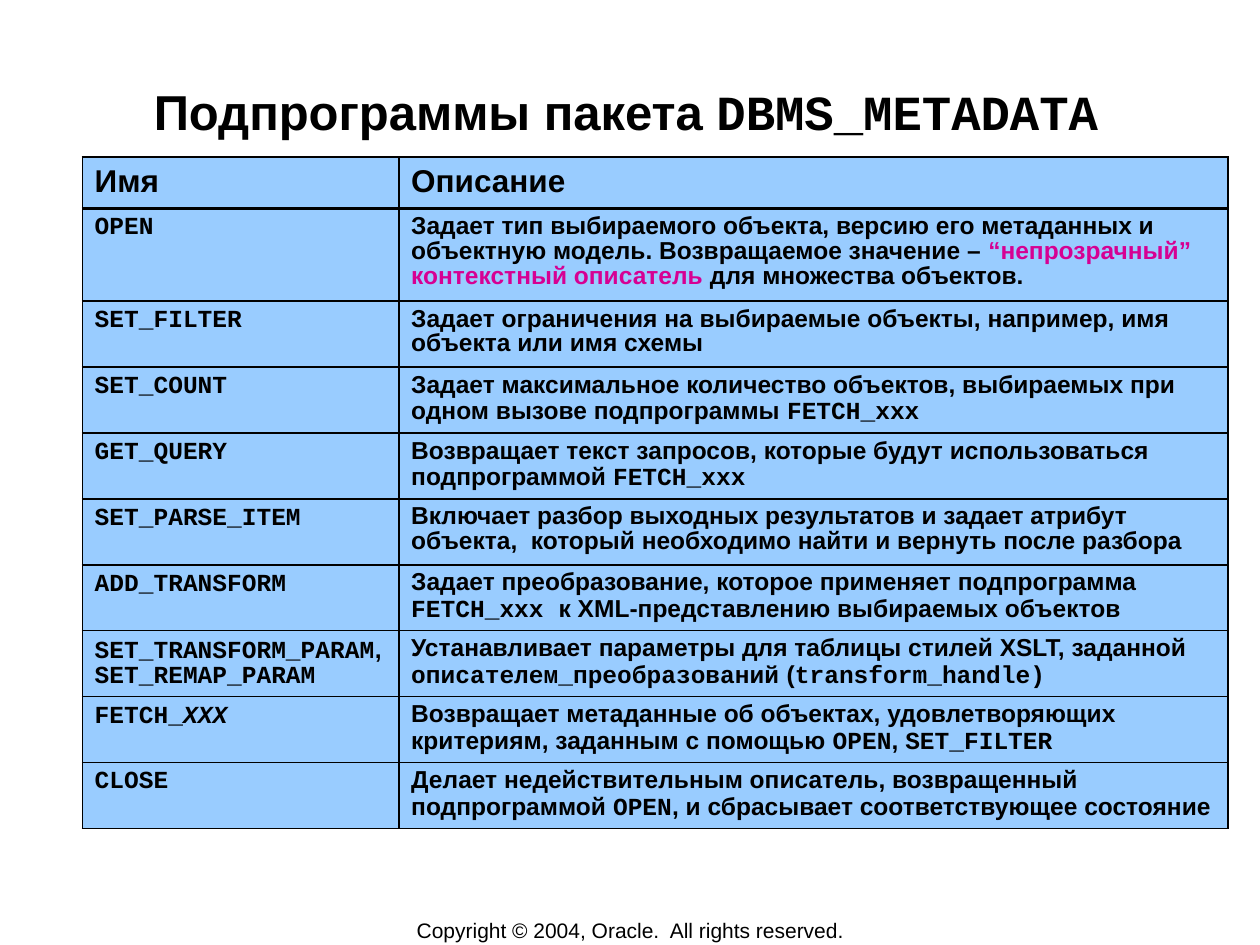
from dataclasses import dataclass

from lxml import etree
from pptx import Presentation
from pptx.dml.color import RGBColor
from pptx.enum.text import MSO_ANCHOR, MSO_AUTO_SIZE, PP_ALIGN
from pptx.oxml.ns import qn
from pptx.util import Cm, Pt

TOP, MIDDLE = MSO_ANCHOR.TOP, MSO_ANCHOR.MIDDLE
CENTER, LEFT = PP_ALIGN.CENTER, PP_ALIGN.LEFT
NO_FIT = MSO_AUTO_SIZE.NONE


@dataclass(frozen=True)
class Theme:
    text: str = "000000"
    accent: str = "D60093"
    cell: str = "99CCFF"
    border: str = "000000"
    sans: str = "Arial"
    mono: str = "Courier New"
    title: float = 28
    header: float = 18
    body: float = 14
    footer: float = 12
    thin: float = 1.08
    thick: float = 2.21


T = Theme()

# Run formats that differ from bold sans text
CODE = {"name": T.mono}
CODE_ITALIC = {"name": T.mono, "italic": True}
ACCENT = {"color": T.accent}
PLAIN = {"bold": False}

TITLE = ["Подпрограммы пакета ", ("DBMS_METADATA", CODE)]
COPYRIGHT = [("Copyright © 2004, Oracle.  All rights reserved.", PLAIN)]
HEADER = (["Имя"], ["Описание"])
FETCH = ("FETCH_xxx", CODE)
ROWS = [
    ([("OPEN", CODE)],
     ["Задает тип выбираемого объекта, версию его метаданных и объектную модель. "
      "Возвращаемое значение – ",
      ("“непрозрачный” контекстный описатель", ACCENT),
      " для множества объектов."]),
    ([("SET_FILTER", CODE)],
     ["Задает ограничения на выбираемые объекты, например, имя объекта или имя схемы"]),
    ([("SET_COUNT", CODE)],
     ["Задает максимальное количество объектов, выбираемых при одном вызове "
      "подпрограммы ", FETCH]),
    ([("GET_QUERY", CODE)],
     ["Возвращает текст запросов, которые будут использоваться подпрограммой ", FETCH]),
    ([("SET_PARSE_ITEM", CODE)],
     ["Включает разбор выходных результатов и задает атрибут объекта,  который "
      "необходимо найти и вернуть после разбора"]),
    ([("ADD_TRANSFORM", CODE)],
     ["Задает преобразование, которое применяет подпрограмма ", ("FETCH_xxx ", CODE),
      "к XML-представлению выбираемых объектов"]),
    ([("SET_TRANSFORM_PARAM", CODE), ", ", ("SET_REMAP_PARAM", CODE)],
     ["Устанавливает параметры для таблицы стилей XSLT, заданной ",
      ("описателем_преобразований", CODE), " (", ("transform_handle)", CODE)]),
    ([("FETCH_", CODE), ("XXX", CODE_ITALIC)],
     ["Возвращает метаданные об объектах, удовлетворяющих критериям, заданным с помощью ",
      ("OPEN", CODE), ", ", ("SET_FILTER", CODE)]),
    ([("CLOSE", CODE)],
     ["Делает недействительным описатель, возвращенный подпрограммой ",
      ("OPEN", CODE), ", и сбрасывает соответствующее состояние"]),
]
COLUMN_WIDTHS = (6.38, 16.72)
ROW_HEIGHTS = [1.03, 1.85] + [1.33] * 8


def set_attrs(obj, values):
    for name, value in values.items():
        setattr(obj, name, value)


def write_runs(p, runs, size, align=LEFT, spacing=1.0):
    set_attrs(p, {"alignment": align, "line_spacing": spacing, "space_before": Pt(0)})
    for run in runs:
        text, changes = (run, {}) if isinstance(run, str) else run
        style = {"name": T.sans, "size": Pt(size), "bold": True,
                 "italic": False, "color": T.text, **changes}
        r = p.add_run()
        r.text = text
        r.font.color.rgb = RGBColor.from_string(style.pop("color"))
        set_attrs(r.font, style)


def add_border(cell, side, width):
    ln = etree.SubElement(cell._tc.get_or_add_tcPr(), qn(f"a:ln{side}"),
                          w=str(Pt(width)))
    fill = etree.SubElement(ln, qn("a:solidFill"))
    etree.SubElement(fill, qn("a:srgbClr"), val=T.border)


def add_title(slide):
    sp = slide.shapes.title
    set_attrs(sp, {"left": Cm(2.46), "top": Cm(1.47),
                   "width": Cm(20.32), "height": Cm(2.44)})
    tf = sp.text_frame
    set_attrs(tf, {"margin_left": Cm(0.03), "margin_right": Cm(0.03),
                   "margin_top": Cm(0.18), "margin_bottom": Cm(0.03),
                   "vertical_anchor": TOP, "word_wrap": True, "auto_size": NO_FIT})
    write_runs(tf.paragraphs[0], TITLE, T.title, CENTER)


def format_cell(cell, runs, row):
    # Borders come before the fill in the cell properties
    for side in "LRTB":
        under_header = (row, side) in ((0, "B"), (1, "T"))
        add_border(cell, side, T.thick if under_header else T.thin)
    cell.fill.solid()
    cell.fill.fore_color.rgb = RGBColor.from_string(T.cell)
    set_attrs(cell, {"margin_left": Cm(0.25), "margin_right": Cm(0.25),
                     "margin_top": Cm(0.13), "margin_bottom": Cm(0.13),
                     "vertical_anchor": TOP})
    size, spacing = (T.body, 0.9) if row else (T.header, 1.0)
    write_runs(cell.text_frame.paragraphs[0], runs, size, spacing=spacing)


def add_subprogram_table(slide):
    rows = [HEADER, *ROWS]
    table = slide.shapes.add_table(
        len(rows), len(COLUMN_WIDTHS), Cm(1.66), Cm(3.17),
        Cm(sum(COLUMN_WIDTHS)), Cm(sum(ROW_HEIGHTS))).table
    for column, width in zip(table.columns, COLUMN_WIDTHS):
        column.width = Cm(width)
    for i, (row, height) in enumerate(zip(rows, ROW_HEIGHTS)):
        table.rows[i].height = Cm(height)
        for j, runs in enumerate(row):
            format_cell(table.cell(i, j), runs, i)


def add_copyright(slide):
    sp = slide.shapes.add_textbox(Cm(7.01), Cm(18.49), Cm(11.4), Cm(0.53))
    tf = sp.text_frame
    set_attrs(tf, {"vertical_anchor": MIDDLE, "word_wrap": False})
    write_runs(tf.paragraphs[0], COPYRIGHT, T.footer, CENTER)


def main():
    prs = Presentation()
    set_attrs(prs, {"slide_width": Cm(25.4), "slide_height": Cm(19.05)})
    slide = prs.slides.add_slide(prs.slide_layouts[5])  # title only
    add_copyright(slide)
    add_title(slide)
    add_subprogram_table(slide)
    prs.save("out.pptx")


if __name__ == "__main__":
    main()
